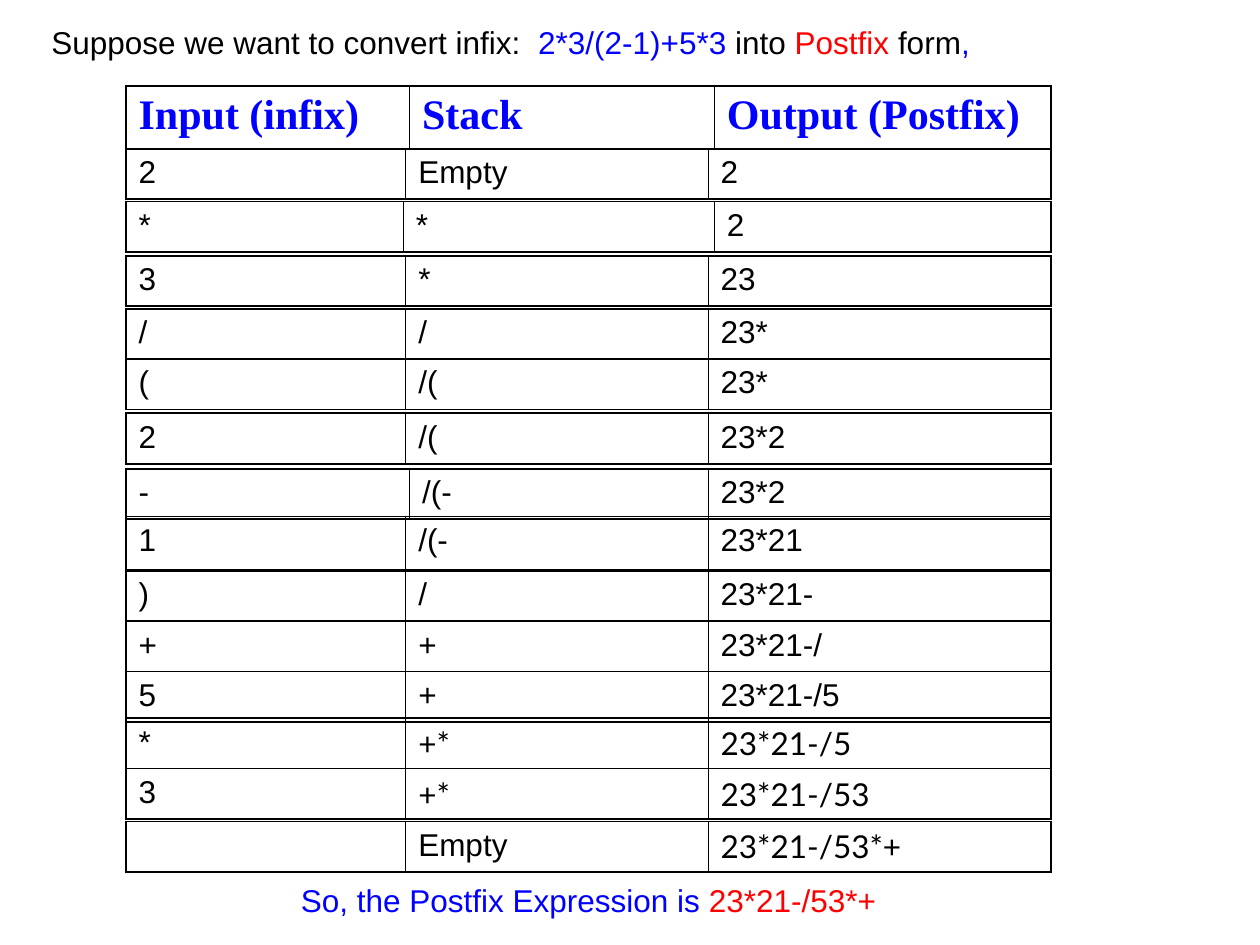
from lxml import etree
from pptx import Presentation
from pptx import util as u
from pptx.dml import color
from pptx.enum import text
from pptx.oxml import ns

BLACK, BLUE, RED = "000000", "0000FF", "FF0000"
WIDE, THIN = 1.08, 0.45
COLS = (2.22, 2.4, 2.72)
HEAD = ("Input (infix)", "Stack", "Output (Postfix)")
STEPS = (
    (1.18, ("2", "Empty", "2"), {}),
    (1.6, ("*", "*", "2"), {"cols": (2.2, 2.47, 2.67)}),
    (2.03, ("3", "*", "23"), {}),
    (2.45, ("/", "/", "23*"), {}),
    (2.85, ("(", "/(", "23*"), {}),
    (3.28, ("2", "/(", "23*2"), {}),
    (3.72, ("-", "/(-", "23*2"), {"cols": (2.25, 2.37, 2.72)}),
    (4.1, ("1", "/(-", "23*21"), {"high": 0.42}),
    (4.53, (")", "/", "23*21-"), {}),
    (4.93, ("+", "+", "23*21-/"), {}),
    (5.33, ("5", "+", "23*21-/5"), {}),
    (5.7, ("*", "+*", "23*21-/5"), {"fonts": ("Arial", "Lato", "Lato")}),
    (6.1, ("3", "+*", "23*21-/53"), {"fonts": ("Arial", "Lato", "Lato")}),
    (6.52, ("", "Empty", "23*21-/53*+"), {"fonts": ("Arial", "Arial", "Lato")}),
)


def rgb(tint):
    return color.RGBColor.from_string(tint)


def add_run(para, words, tint=BLACK, face="Arial", size=18, bold=False):
    run = para.add_run()
    run.text = words
    font = run.font
    font.name, font.size, font.bold = face, u.Pt(size), bold
    font.color.rgb = rgb(tint)


def add_line(slide, box, runs, top=0.05):
    shape = slide.shapes.add_textbox(*map(u.Inches, box))
    frame = shape.text_frame
    frame.word_wrap = False
    frame.auto_size = text.MSO_AUTO_SIZE.SHAPE_TO_FIT_TEXT
    frame.vertical_anchor = text.MSO_ANCHOR.MIDDLE
    frame.margin_top = u.Inches(top)
    for words, tint in runs:
        add_run(frame.paragraphs[0], words, tint)


def add_edges(cell, left, right):
    props = cell._tc.get_or_add_tcPr()
    sides = (("L", left), ("R", right), ("T", WIDE), ("B", WIDE))
    for spot, (side, width) in enumerate(sides):
        line = etree.Element(ns.qn("a:ln" + side), w=str(u.Pt(width)))
        fill = etree.SubElement(line, ns.qn("a:solidFill"))
        etree.SubElement(fill, ns.qn("a:srgbClr"), val=BLACK)
        props.insert(spot, line)


def add_row(slide, top, words, cols=COLS, high=0.4, fonts=("Arial",) * 3,
            tint=BLACK, size=18, bold=False, gap=0):
    box = map(u.Inches, (1, top, sum(cols), high))
    grid = slide.shapes.add_table(1, len(cols), *box).table
    grid.first_row = grid.horz_banding = False
    grid.rows[0].height = u.Inches(high)
    last = len(cols) - 1
    for spot, (wide, word, face) in enumerate(zip(cols, words, fonts)):
        grid.columns[spot].width = u.Inches(wide)
        cell = grid.cell(0, spot)
        cell.fill.background()
        cell.margin_left = cell.margin_right = u.Inches(0.1)
        cell.margin_top = cell.margin_bottom = u.Inches(0.05)
        add_edges(cell, WIDE if spot == 0 else THIN,
                  WIDE if spot == last else THIN)
        para = cell.text_frame.paragraphs[0]
        para.space_before = u.Pt(gap)
        if word:
            add_run(para, word, tint, face, size, bold)


def add_steps(slide):
    add_row(slide, 0.68, HEAD, (2.25, 2.42, 2.67), 0.5,
            ("Times New Roman",) * 3, BLUE, 24, True, 6)
    for top, words, style in STEPS:
        add_row(slide, top, words, **style)


def main():
    deck = Presentation()
    deck.slide_width, deck.slide_height = u.Inches(10), u.Inches(7.5)
    slide = deck.slides.add_slide(deck.slide_layouts[6])
    add_line(slide, (0.31, 0.13, 7.58, 0.4), (
        ("Suppose we want to convert infix: ", BLACK),
        (" 2*3/(2-1)+5*3 ", BLUE),
        ("into ", BLACK),
        ("Postfix ", RED),
        ("form", BLACK),
        (",", BLUE),
    ))
    add_steps(slide)
    add_line(slide, (2.29, 6.75, 4.82, 0.6), (
        ("So, the Postfix Expression is ", BLUE),
        ("23*21-/53*+", RED),
    ), 0.24)
    deck.save("out.pptx")


if __name__ == "__main__":
    main()
